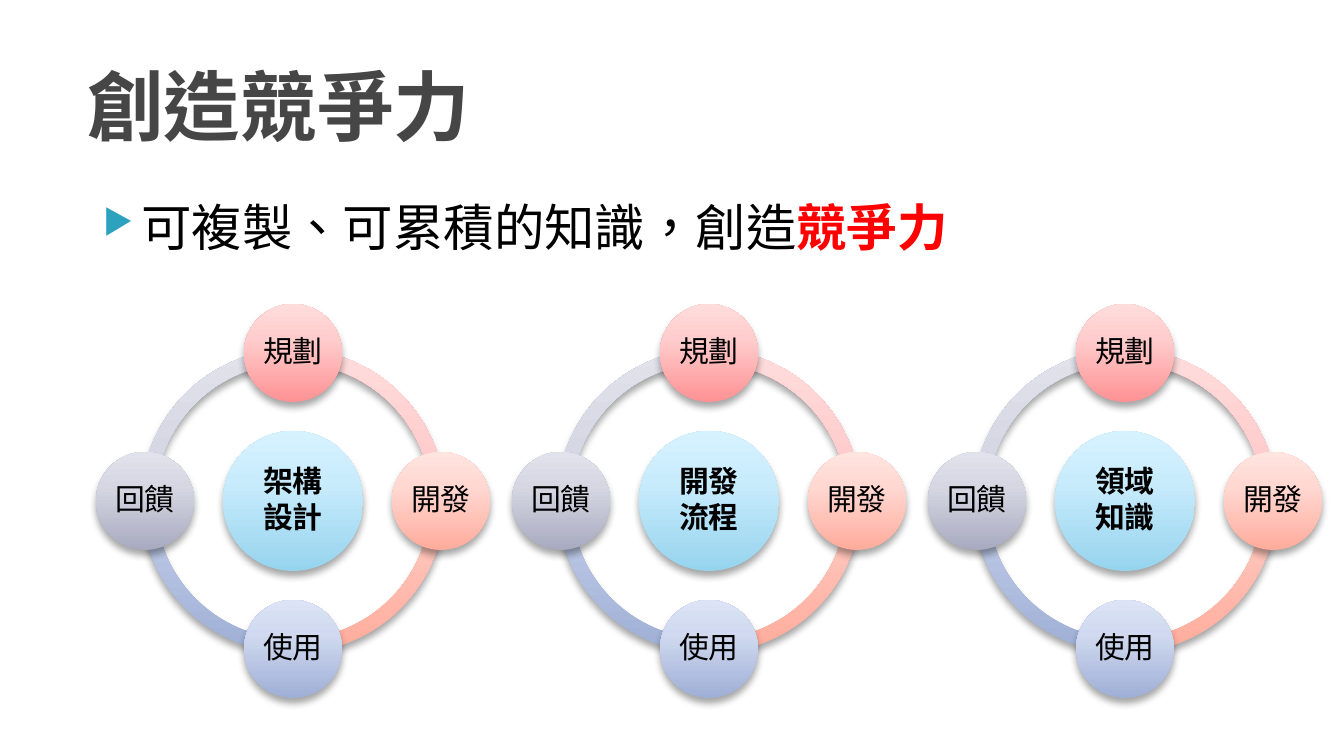
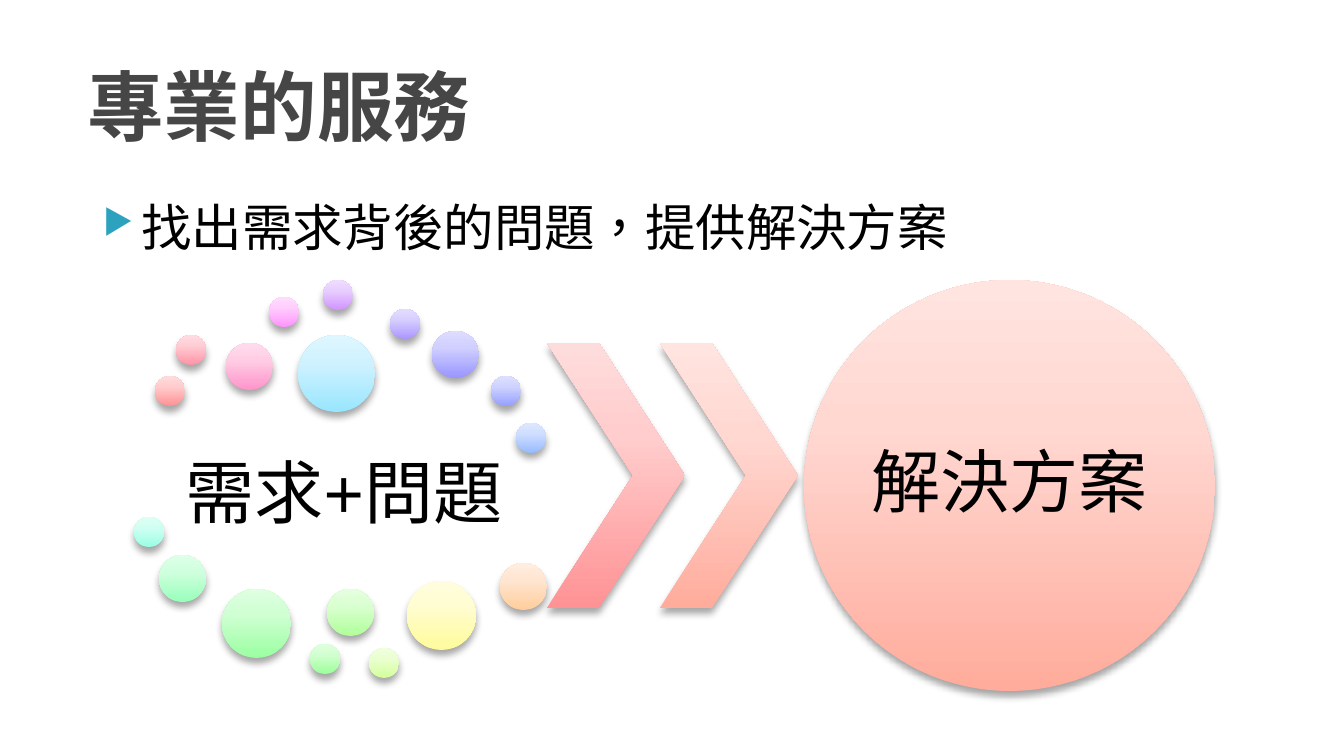
from pptx import Presentation
from pptx.dml.color import RGBColor
from pptx.enum.lang import MSO_LANGUAGE_ID as Language
from pptx.enum.shapes import MSO_SHAPE as Shape
from pptx.enum.text import MSO_ANCHOR as Anchor, PP_ALIGN as Align
from pptx.oxml import parse_xml
from pptx.oxml.ns import nsdecls
from pptx.util import Emu, Pt

FONT = "Courier New"
BLACK = RGBColor(0, 0, 0)
TITLE_GRAY = RGBColor(0x46, 0x46, 0x46)
BULLET_TEAL = RGBColor(0x2D, 0xA2, 0xBF)
ACCENT_RED = RGBColor(0xFF, 0, 0)


def shades(codes):
    """Turn three hex codes, bottom to top, into gradient colours."""
    return tuple(RGBColor.from_string(code) for code in codes.split())


ROSE = shades("FF9294 FFCDCD FFDCDC")
CORAL = shades("FFAC9C FFD8D2 FFE4DF")
BLUE = shades("9FAFD6 D0D9EF DCE3F6")
GRAY = shades("A8AAC0 D6D7E3 E2E2EC")
SKY = shades("96D4EE C9ECFC D7F2FF")

WHEEL_TOPICS = ["架構\n設計", "開發\n流程", "領域\n知識"]
# Each step: label, colours, direction from the hub, arc start and end.
WHEEL_STEPS = [
    ("規劃", ROSE, (0, -1), (162, 0)),
    ("開發", CORAL, (1, 0), (0, 54)),
    ("使用", BLUE, (0, 1), (54, 108)),
    ("回饋", GRAY, (-1, 0), (108, 162)),
]
SMALL, MEDIUM, LARGE, LARGEST = 30, 47, 69, 77
DOTS = [
    (155, 376, SMALL, ROSE),
    (176, 335, SMALL, shades("FF93A6 FFCDD5 FFDCE2")),
    (226, 343, MEDIUM, shades("FF94CA FFCEE5 FFDCED")),
    (269, 297, SMALL, shades("FF94FC FFCEFD FFDDFE")),
    (323, 280, SMALL, shades("D095FF E8CEFF EFDDFF")),
    (390, 309, SMALL, shades("AB96FF D8CFFF E3DDFF")),
    (432, 331, MEDIUM, shades("9996FF D0CFFF DEDDFF")),
    (491, 376, SMALL, shades("97A0FF CFD3FF DEE0FF")),
    (516, 423, SMALL, shades("98BBFF D0DEFF DEE8FF")),
    (298, 335, LARGEST, shades("98E6FF D0F2FF DEF6FF")),
    (134, 517, SMALL, shades("99FFE5 D0FFF2 DEFFF6")),
    (159, 555, MEDIUM, shades("99FFBB D0FFDE DEFFE8")),
    (222, 589, LARGE, shades("9AFFA1 D1FFD4 DFFFE1")),
    (310, 644, SMALL, shades("9CFF9A D2FFD1 DFFFDF")),
    (327, 589, MEDIUM, shades("B0FF9A DAFFD1 E5FFDF")),
    (369, 648, SMALL, shades("D4FF9B EAFFD1 F0FFDF")),
    (407, 581, LARGE, shades("FFFB9B FFFDD1 FFFDDF")),
    (500, 563, MEDIUM, shades("FFCD9C FFE6D2 FFEEDF")),
]


def px(length):
    """Convert pixels, 1344 to the slide width, into EMU."""
    return Emu(round(length * 914400 / 134.4))


def style(span, size, color=BLACK, bold=False):
    """Format one run."""
    font = span.font
    font.name, font.size, font.bold = FONT, Pt(size), bold
    font.color.rgb = color
    font.language_id = Language.TRADITIONAL_CHINESE


def write(box, text, size, inset=0, bold=False):
    """Centre text in a shape, one paragraph per line."""
    frame = box.text_frame
    frame.word_wrap = True
    frame.vertical_anchor = Anchor.MIDDLE
    frame.margin_left = frame.margin_right = px(inset)
    frame.margin_top = frame.margin_bottom = px(inset)
    frame.text = text
    for para in frame.paragraphs:
        para.alignment = Align.CENTER
        para.line_spacing = 0.9
        para.space_after = Pt(2)
        for span in para.runs:
            style(span, size, bold=bold)


def add_glossy(group, kind, place, colors, adjustments=()):
    """Add a preset shape with a vertical gradient and a soft shadow."""
    shape = group.shapes.add_shape(kind, *map(px, place))
    for index, value in enumerate(adjustments):
        shape.adjustments[index] = value
    shape.line.fill.background()
    stops = "".join(
        f'<a:gs pos="{position}"><a:srgbClr val="{color}"/></a:gs>'
        for position, color in zip((0, 65000, 100000), colors))
    shape.line._get_or_add_ln().addprevious(parse_xml(
        f'<a:gradFill {nsdecls("a")} rotWithShape="1"><a:gsLst>{stops}</a:gsLst>'
        '<a:lin ang="16200000" scaled="0"/></a:gradFill>'))
    shape._element.spPr.append(parse_xml(
        f'<a:effectLst {nsdecls("a")}><a:outerShdw blurRad="50800" dist="38100" '
        'dir="5400000" rotWithShape="0"><a:srgbClr val="000000">'
        '<a:alpha val="35000"/></a:srgbClr></a:outerShdw></a:effectLst>'))
    return shape


def add_disc(group, center_x, center_y, size, colors):
    """Add a glossy circle around a centre."""
    place = (center_x - size / 2, center_y - size / 2, size, size)
    return add_glossy(group, Shape.OVAL, place, colors)


def add_page(deck, title, bullet, accent=""):
    """Add a slide with its title and a bullet that may end in an accent."""
    page = deck.slides.add_slide(deck.slide_layouts[5])
    heading = page.shapes.title
    heading.left, heading.top, heading.width, heading.height = map(
        px, (74, 42, 1145, 126))
    heading.text_frame.text = title
    heading.text_frame.vertical_anchor = Anchor.MIDDLE
    para = heading.text_frame.paragraphs[0]
    para.alignment = Align.LEFT
    style(para.runs[0], 41, TITLE_GRAY, True)

    body = page.shapes.add_textbox(*map(px, (74, 190, 1210, 414)))
    body.text_frame.word_wrap = True
    para = body.text_frame.paragraphs[0]
    properties = para._p.get_or_add_pPr()
    properties.set("marL", str(px(54)))
    properties.set("indent", str(px(-38)))
    for tag in (f'buClr {nsdecls("a")}><a:srgbClr val="{BULLET_TEAL}"/></a:buClr',
                f'buSzPct {nsdecls("a")} val="68000"/',
                f'buChar {nsdecls("a")} char="▶"/'):
        properties.append(parse_xml(f"<a:{tag}>"))
    para.text = bullet
    style(para.runs[0], 27)
    if accent:
        span = para.add_run()
        span.text = accent
        style(span, 27, ACCENT_RED, True)
    return page


def add_wheel(page, center_x, center_y, topic):
    """Add a hub with four steps on a ring around it."""
    group = page.shapes.add_group_shape()
    ring, radius = 304, 148
    place = (center_x - ring / 2, center_y - ring / 2, ring, ring)
    for _, colors, _, arc in reversed(WHEEL_STEPS):
        add_glossy(group, Shape.BLOCK_ARC, place, colors, (*arc, 0.046))
    write(add_disc(group, center_x, center_y, 140, SKY), topic, 16, 3, True)
    for label, colors, (across, down), _ in WHEEL_STEPS:
        step = add_disc(group, center_x + radius * across,
                        center_y + radius * down, 98, colors)
        write(step, label, 16, 3)


def add_solution_flow(page):
    """Add the scattered dots, the two chevrons and the solution circle."""
    group = page.shapes.add_group_shape()
    needs = group.shapes.add_textbox(*map(px, (155, 434, 378, 125)))
    write(needs, "需求+問題", 37, 7)
    for left, top, size, colors in DOTS:
        add_glossy(group, Shape.OVAL, (left, top, size, size), colors)
    for index, colors in enumerate((ROSE, CORAL)):
        add_glossy(group, Shape.CHEVRON, (547 + 113 * index, 343, 138, 265),
                   colors, (0.623,))
    solution = add_glossy(group, Shape.OVAL, (804, 280, 411, 411), CORAL)
    write(solution, "解決方案", 37)


def main():
    """Build both slides and save the deck."""
    deck = Presentation()
    deck.slide_width, deck.slide_height = px(1344), px(756)
    page = add_page(deck, "創造競爭力", "可複製、可累積的知識，創造", "競爭力")
    for index, topic in enumerate(WHEEL_TOPICS):
        add_wheel(page, 293 + 416 * index, 501, topic)
    page = add_page(deck, "專業的服務", "找出需求背後的問題，提供解決方案")
    add_solution_flow(page)
    deck.save("out.pptx")


if __name__ == "__main__":
    main()
